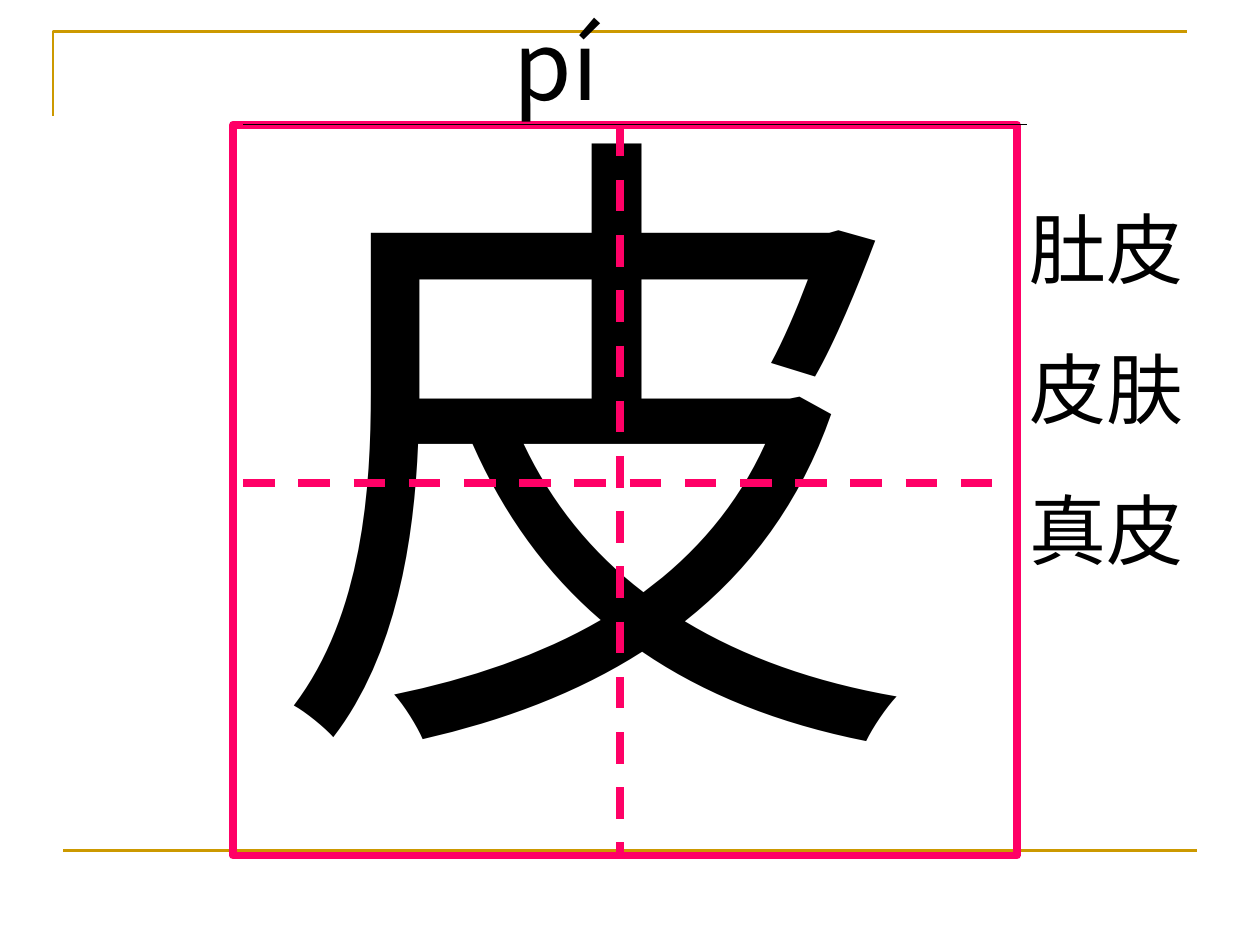
"""Build a slide teaching the character 皮 in a practice grid."""
from lxml.etree import SubElement
from pptx import Presentation
from pptx.dml.color import RGBColor
from pptx.enum.dml import MSO_LINE
from pptx.enum.shapes import MSO_CONNECTOR, MSO_SHAPE
from pptx.enum.text import MSO_AUTO_SIZE
from pptx.oxml.ns import qn
from pptx.util import Inches, Pt

THEME = {
    "gold": RGBColor(0xCC, 0x99, 0x00),
    "pink": RGBColor(0xFF, 0x00, 0x66),
    "black": RGBColor(0, 0, 0),
    "character": (370, "Times New Roman"),
    "pinyin": (54, "Noto Sans CJK SC"),
    "words": (44, "Arial"),
    "frame_width": 1.5,
    "grid_width": 4.5,
    "thin_width": 0.75,
}
CHARACTER = ["皮"]
PINYIN = ["pí"]
WORDS = ["肚皮", "皮肤", "真皮"]

CHARACTER_BOX = (2.09, 0.28, 5.34, 6.27)
PINYIN_BOX = (3.98, 0, 3.86, 1)
WORDS_BOX = (8.07, 1.55, 1.69, 3.07)
GRID_BOX = (1.85, 0.99, 6.22, 5.8)
CORNER = [(0.42, 0.92), (0.42, 0.25), (9.42, 0.25)]
FOOT_RULE = (0.5, 6.75, 9.5, 6.75)
GRID_LINES = [
    ((1.93, 3.83, 8.07, 3.83), "pink", "grid_width", MSO_LINE.DASH),
    ((4.92, 0.99, 4.92, 6.79), "pink", "grid_width", MSO_LINE.DASH),
    ((1.93, 0.99, 8.15, 0.99), "black", "thin_width", None),
]


def style_line(shape, color, width, dash=None):
    shape.line.color.rgb = THEME[color]
    shape.line.width = Pt(THEME[width])
    if dash:
        shape.line.dash_style = dash


def style_outline(shape, color, width):
    shape.fill.background()
    shape.shadow.inherit = False
    style_line(shape, color, width)


def add_line(shapes, ends, color, width, dash=None):
    line = shapes.add_connector(MSO_CONNECTOR.STRAIGHT, *map(Inches, ends))
    style_line(line, color, width, dash)
    SubElement(line._element.spPr, qn("a:effectLst"))


def add_text(shapes, box, lines, style, wrap=True, gap=0):
    frame = shapes.add_textbox(*map(Inches, box)).text_frame
    frame.word_wrap = wrap
    frame.auto_size = MSO_AUTO_SIZE.SHAPE_TO_FIT_TEXT
    frame.text = "\n".join(lines)
    size, name = THEME[style]
    for index, paragraph in enumerate(frame.paragraphs):
        paragraph.space_before = Pt(gap if index else 0)
        paragraph.font.size = Pt(size)
        paragraph.font.name = name
        paragraph.font.color.rgb = THEME["black"]


def main():
    presentation = Presentation()
    presentation.slide_width, presentation.slide_height = Inches(10), Inches(7.5)
    shapes = presentation.slides.add_slide(presentation.slide_layouts[6]).shapes

    start, *rest = [(Inches(x), Inches(y)) for x, y in CORNER]
    builder = shapes.build_freeform(*start)
    builder.add_line_segments(rest, close=False)
    style_outline(builder.convert_to_shape(), "gold", "frame_width")
    add_line(shapes, FOOT_RULE, "gold", "frame_width")

    add_text(shapes, CHARACTER_BOX, CHARACTER, "character", wrap=False)
    grid = shapes.add_shape(MSO_SHAPE.RECTANGLE, *map(Inches, GRID_BOX))
    style_outline(grid, "pink", "grid_width")
    group = shapes.add_group_shape()
    for line in GRID_LINES:
        add_line(group.shapes, *line)

    add_text(shapes, PINYIN_BOX, PINYIN, "pinyin")
    add_text(shapes, WORDS_BOX, WORDS, "words", gap=27.5)
    presentation.save("out.pptx")


if __name__ == "__main__":
    main()
